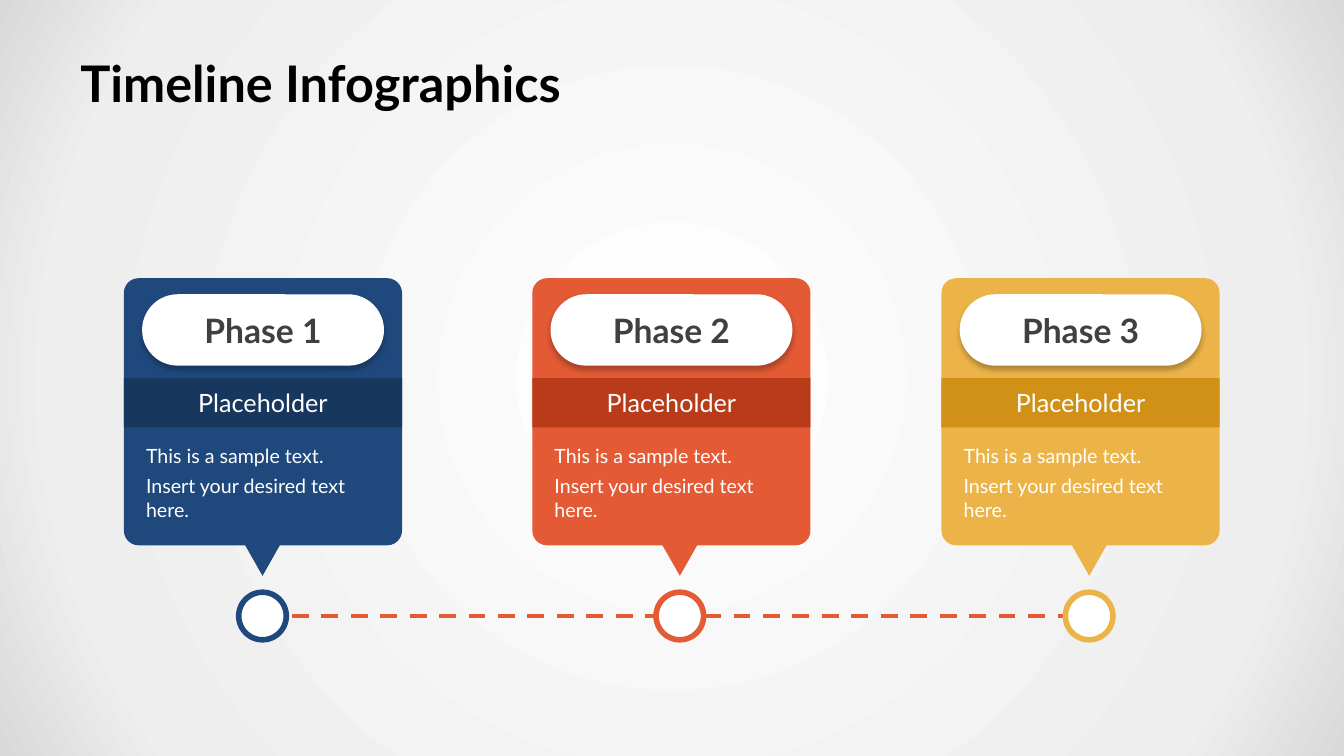
from dataclasses import dataclass

from pptx import Presentation
from pptx.dml.color import RGBColor
from pptx.enum.dml import MSO_LINE
from pptx.enum.shapes import MSO_CONNECTOR, MSO_SHAPE
from pptx.enum.text import MSO_ANCHOR, MSO_AUTO_SIZE, PP_ALIGN
from pptx.oxml import parse_xml
from pptx.oxml.ns import nsdecls, qn
from pptx.util import Pt

LEFT, CENTER = PP_ALIGN.LEFT, PP_ALIGN.CENTER
TOP, MIDDLE = MSO_ANCHOR.TOP, MSO_ANCHOR.MIDDLE
ROUNDED, RECTANGLE = MSO_SHAPE.ROUNDED_RECTANGLE, MSO_SHAPE.RECTANGLE
TRIANGLE, OVAL = MSO_SHAPE.ISOSCELES_TRIANGLE, MSO_SHAPE.OVAL


@dataclass(frozen=True)
class Theme:
    font: str = "Lato"
    black: str = "000000"
    dark: str = "404040"
    white: str = "FFFFFF"
    accent: str = "E35A35"
    backdrop: tuple = ((0, "FFFFFF"), (81, "EEEEEE"), (100, "D9D9D9"))
    title_size: int = 36
    phase_size: int = 24
    label_size: int = 18
    body_size: int = 14


theme = Theme()


def add_shape(kind, left, top, width, height, fill):
    shape = slide.shapes.add_shape(kind, Pt(left), Pt(top), Pt(width), Pt(height))
    shape.shadow.inherit = False
    shape.fill.solid()
    shape.fill.fore_color.rgb = RGBColor.from_string(fill)
    shape.line.fill.background()
    return shape


def write_text(frame, text, size, color, bold=False, align=CENTER, anchor=MIDDLE,
               margins=(7.2, 3.6), space_before=0):
    """Fill a text frame, one paragraph per line; margins are (sides, top and bottom)."""
    frame.text = text
    frame.word_wrap = True
    frame.auto_size = MSO_AUTO_SIZE.NONE
    frame.vertical_anchor = anchor
    frame.margin_left = frame.margin_right = Pt(margins[0])
    frame.margin_top = frame.margin_bottom = Pt(margins[1])
    for index, paragraph in enumerate(frame.paragraphs):
        paragraph.alignment = align
        paragraph.space_before = Pt(space_before if index else 0)
        paragraph.font.name = theme.font
        paragraph.font.size = Pt(size)
        paragraph.font.bold = bold
        paragraph.font.color.rgb = RGBColor.from_string(color)


presentation = Presentation()
presentation.slide_width, presentation.slide_height = Pt(960), Pt(540)
slide = presentation.slides.add_slide(presentation.slide_layouts[5])

# Radial backdrop
slide.background.fill.solid()
backdrop = slide.element.find(".//" + qn("p:bgPr"))
stops = "".join(
    f'<a:gs pos="{position * 1000}"><a:srgbClr val="{color}"/></a:gs>'
    for position, color in theme.backdrop
)
backdrop.replace(backdrop[0], parse_xml(
    f'<a:gradFill {nsdecls("a")} rotWithShape="1"><a:gsLst>{stops}</a:gsLst>'
    '<a:path path="circle"><a:fillToRect l="50000" t="50000" r="50000" b="50000"/>'
    '</a:path></a:gradFill>'
))

title = slide.shapes.title
title.left, title.top, title.width, title.height = Pt(48), Pt(31), Pt(864), Pt(56)
write_text(title.text_frame, "Timeline Infographics", theme.title_size, theme.black,
           bold=True, align=LEFT, margins=(9.4, 5))

# Phase name, card left, marker centre, card colour, band colour
phases = [
    ("Phase 1", 88.5, 187.5, "1F497D", "17375E"),
    ("Phase 2", 380.25, 485.6, "E35A35", "B83B1A"),
    ("Phase 3", 672.5, 778, "ECB448", "D19116"),
]
card_top, card_width, card_height = 198.7, 198.7, 190.8
pointer_width, pointer_height = 25.2, 22.2
marker_size, timeline_y = 34, 440

for name, left, center, color, band_color in phases:
    pointer = add_shape(TRIANGLE, center - pointer_width / 2, card_top + card_height - 0.4,
                        pointer_width, pointer_height, color)
    pointer.rotation = 180

timeline = slide.shapes.add_connector(
    MSO_CONNECTOR.STRAIGHT, Pt(187.5), Pt(timeline_y), Pt(772), Pt(timeline_y))
timeline.line.color.rgb = RGBColor.from_string(theme.accent)
timeline.line.width = Pt(3)
timeline.line.dash_style = MSO_LINE.DASH
timeline._element.spPr.append(parse_xml(f'<a:effectLst {nsdecls("a")}/>'))

for name, left, center, color, band_color in phases:
    card = add_shape(ROUNDED, left, card_top, card_width, card_height, color)
    card.adjustments[0] = 0.055

    band = add_shape(RECTANGLE, left, 270, card_width, 35.3, band_color)
    write_text(band.text_frame, "Placeholder", theme.label_size, theme.white)

    pill = add_shape(ROUNDED, left + 13, 210.2, 172.8, 51, theme.white)
    pill.adjustments[0] = 0.5
    write_text(pill.text_frame, name, theme.phase_size, theme.dark, bold=True)
    pill._element.spPr.find(qn("a:effectLst")).append(parse_xml(
        f'<a:outerShdw {nsdecls("a")} blurRad="{Pt(4)}" dist="{Pt(3)}" dir="5400000" '
        'algn="t" rotWithShape="0"><a:srgbClr val="000000"><a:alpha val="25000"/>'
        '</a:srgbClr></a:outerShdw>'
    ))

    body = slide.shapes.add_textbox(Pt(left + 15.8), Pt(313.2), Pt(167), Pt(63.4))
    write_text(body.text_frame, "This is a sample text.\nInsert your desired text here.",
               theme.body_size, theme.white, align=LEFT, anchor=TOP,
               margins=(0, 3.6), space_before=5)

    marker = add_shape(OVAL, center - marker_size / 2, timeline_y - marker_size / 2,
                       marker_size, marker_size, theme.white)
    marker.line.color.rgb = RGBColor.from_string(color)
    marker.line.width = Pt(4)

presentation.save("out.pptx")
